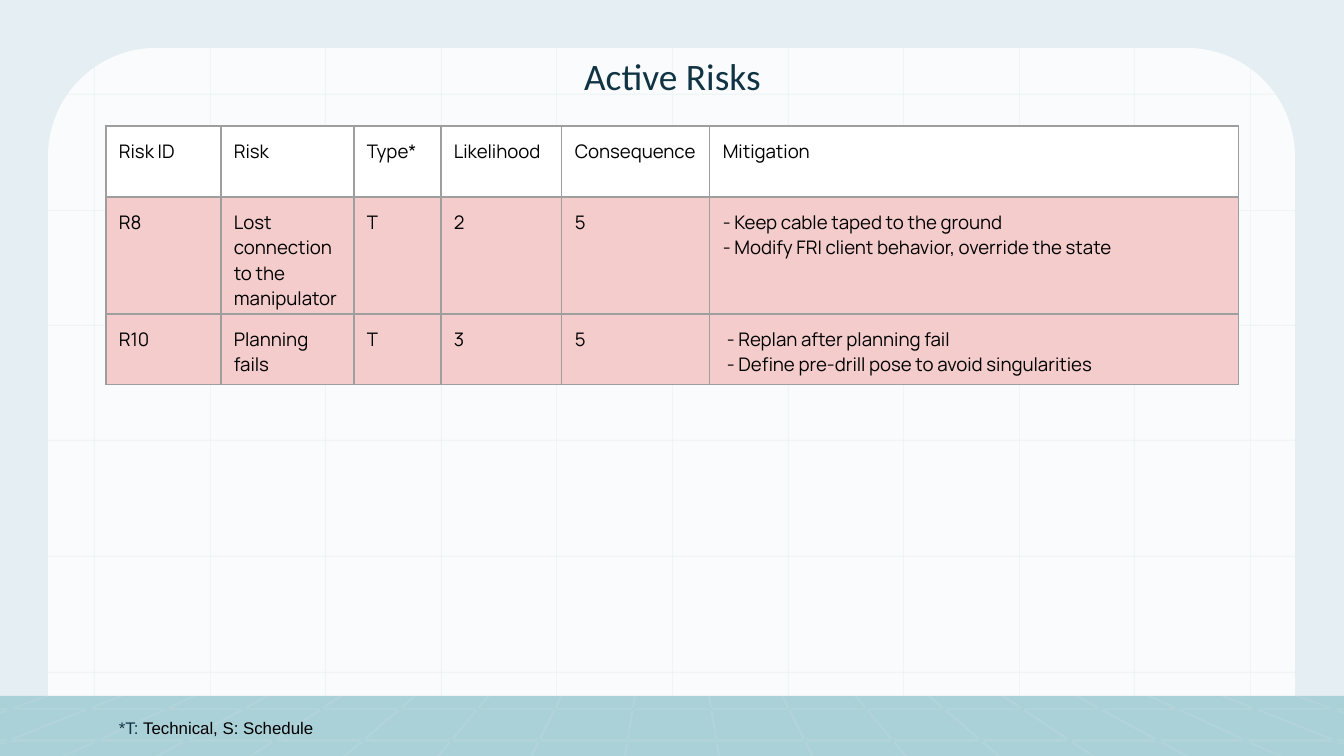
from lxml import etree
from pptx import Presentation
from pptx.dml.color import RGBColor
from pptx.enum.shapes import MSO_SHAPE
from pptx.enum.text import MSO_ANCHOR, PP_ALIGN
from pptx.oxml.ns import qn
from pptx.util import Pt

PX = 914400 / 134.4
WIDTH, HEIGHT = 1344, 756
FLOOR_TOP = 696
CENTER, TOP = PP_ALIGN.CENTER, MSO_ANCHOR.TOP
RECT, ROUND_TOP = MSO_SHAPE.RECTANGLE, MSO_SHAPE.ROUND_2_SAME_RECTANGLE
NAVY, BLACK, WHITE, PALE, PINK = "113444", "000000", "FFFFFF", "E5EEF3", "F4CCCC"


def paint(shape, color, opacity=100):
    shape.shadow.inherit = False
    shape.line.fill.background()
    shape.fill.solid()
    shape.fill.fore_color.rgb = RGBColor.from_string(color)
    if opacity < 100:
        tint = shape.fill._xPr.find(qn("a:solidFill"))[0]
        etree.SubElement(tint, qn("a:alpha"), val=str(opacity * 1000))


def style(run, font, size, color):
    run.font.name = font
    run.font.size = Pt(size)
    run.font.color.rgb = RGBColor.from_string(color)


prs = Presentation()
prs.slide_width, prs.slide_height = round(WIDTH * PX), round(HEIGHT * PX)
slide = prs.slides.add_slide(prs.slide_layouts[5])
slide.background.fill.solid()
slide.background.fill.fore_color.rgb = RGBColor.from_string(PALE)
shapes = slide.shapes

# Panel with rounded top corners
panel = shapes.add_shape(ROUND_TOP, *[round(v * PX) for v in (48, 48, 1247, 648)])
panel.adjustments[0] = 0.167
paint(panel, WHITE, 80)

# Faint square grid: six rows, eleven columns
grid = [(0, 94 + round(115.5 * i), WIDTH, 1) for i in range(6)]
grid += [(94 + round(115.6 * i), 19, 1, 689) for i in range(11)]
for box in grid:
    grid_line = shapes.add_shape(RECT, *[round(v * PX) for v in box])
    paint(grid_line, PALE, 49)

# Floor band
floor = shapes.add_shape(RECT, 0, round(FLOOR_TOP * PX), prs.slide_width,
                         round((HEIGHT - FLOOR_TOP) * PX))
paint(floor, "AAD0D8")

# Floor lines: two cross lines, and rays that fan out until a slide edge
outlines = [[(0, y), (WIDTH, y), (WIDTH, y + h), (0, y + h)] for y, h in ((708, 2), (739, 3))]
middle, near_gap, far_gap = WIDTH / 2, 93.5, 73.5
for i in range(18):
    ray = i - 8.5
    reach = min(1, (middle / abs(ray) - far_gap) / (near_gap - far_gap))
    far_x = middle + ray * far_gap
    near_x = middle + ray * (far_gap + (near_gap - far_gap) * reach)
    near_y = FLOOR_TOP + (HEIGHT - FLOOR_TOP) * reach
    half = 1 + abs(ray) / 4
    outlines.append([(far_x - half, FLOOR_TOP), (far_x + half, FLOOR_TOP),
                     (near_x + half, near_y), (near_x - half, near_y)])
builder = shapes.build_freeform(*outlines[0][0], scale=PX)
for n, outline in enumerate(outlines):
    if n:
        builder.move_to(*outline[0])
    builder.add_line_segments(outline[1:], close=True)
paint(builder.convert_to_shape(), WHITE, 9)

# Title, brought in front of the backdrop
title = shapes.title
shapes._spTree.append(title._element)
title.left, title.top, title.width, title.height = [round(v * PX) for v in (106, 40, 1133, 86)]
title.text_frame.text = "Active Risks"
title.text_frame.vertical_anchor = TOP
title.text_frame.paragraphs[0].alignment = CENTER
style(title.text_frame.paragraphs[0].runs[0], "Calibri", 20, NAVY)

# Key to the risk types
type_key = shapes.add_textbox(*[round(v * PX) for v in (106, 708, 679, 47)])
for frame in (title.text_frame, type_key.text_frame):
    frame.word_wrap = True
    frame.margin_left = frame.margin_right = round(13 * PX)
    frame.margin_top = frame.margin_bottom = round(13 * PX)
for text, color in (("*T: ", NAVY), ("Technical, S: Schedule", BLACK)):
    run = type_key.text_frame.paragraphs[0].add_run()
    run.text = text
    style(run, "Arial", 9, color)

# Risk table
risks = [
    ["Risk ID", "Risk", "Type*", "Likelihood", "Consequence", "Mitigation"],
    ["R8", "Lost connection to the manipulator", "T", "2", "5",
     "- Keep cable taped to the ground\n- Modify FRI client behavior, override the state"],
    ["R10", "Planning fails", "T", "3", "5",
     "- Replan after planning fail\n- Define pre-drill pose to avoid singularities"],
]
column_widths = [115, 133, 87, 121, 148, 529]
row_heights = [71, 117, 71]
table = shapes.add_table(len(risks), len(column_widths), *[
    round(v * PX) for v in (106, 126, sum(column_widths), sum(row_heights))]).table
table.first_row = table.horz_banding = False
for column, width in zip(table.columns, column_widths):
    column.width = round(width * PX)
for r, (row, height) in enumerate(zip(risks, row_heights)):
    table.rows[r].height = round(height * PX)
    for c, text in enumerate(row):
        cell = table.cell(r, c)
        cell.text_frame.text = text
        cell.margin_left = cell.margin_right = cell.margin_top = round(13 * PX)
        cell.margin_bottom = 0
        for paragraph in cell.text_frame.paragraphs:
            style(paragraph.runs[0], "Manrope", 10, BLACK)
            if r == 2 and c == 5:
                paragraph._p.get_or_add_pPr().set("marL", str(round(4 * PX)))
        properties = cell._tc.get_or_add_tcPr()
        for side in ("a:lnL", "a:lnR", "a:lnT", "a:lnB"):
            border = etree.SubElement(properties, qn(side), w=str(Pt(0.75)))
            ink = etree.SubElement(border, qn("a:solidFill"))
            etree.SubElement(ink, qn("a:srgbClr"), val="9E9E9E")
        cell.fill.solid()
        cell.fill.fore_color.rgb = RGBColor.from_string(PINK if r else WHITE)

prs.save("out.pptx")
